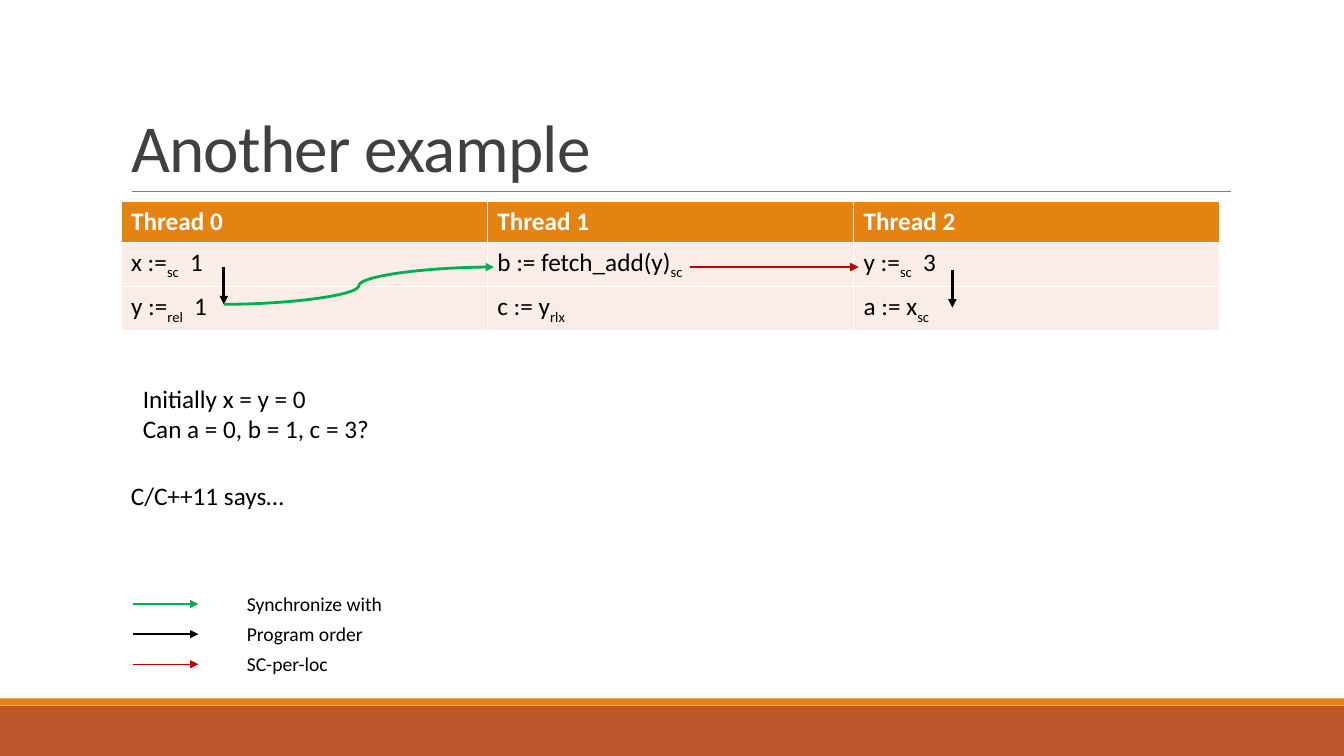
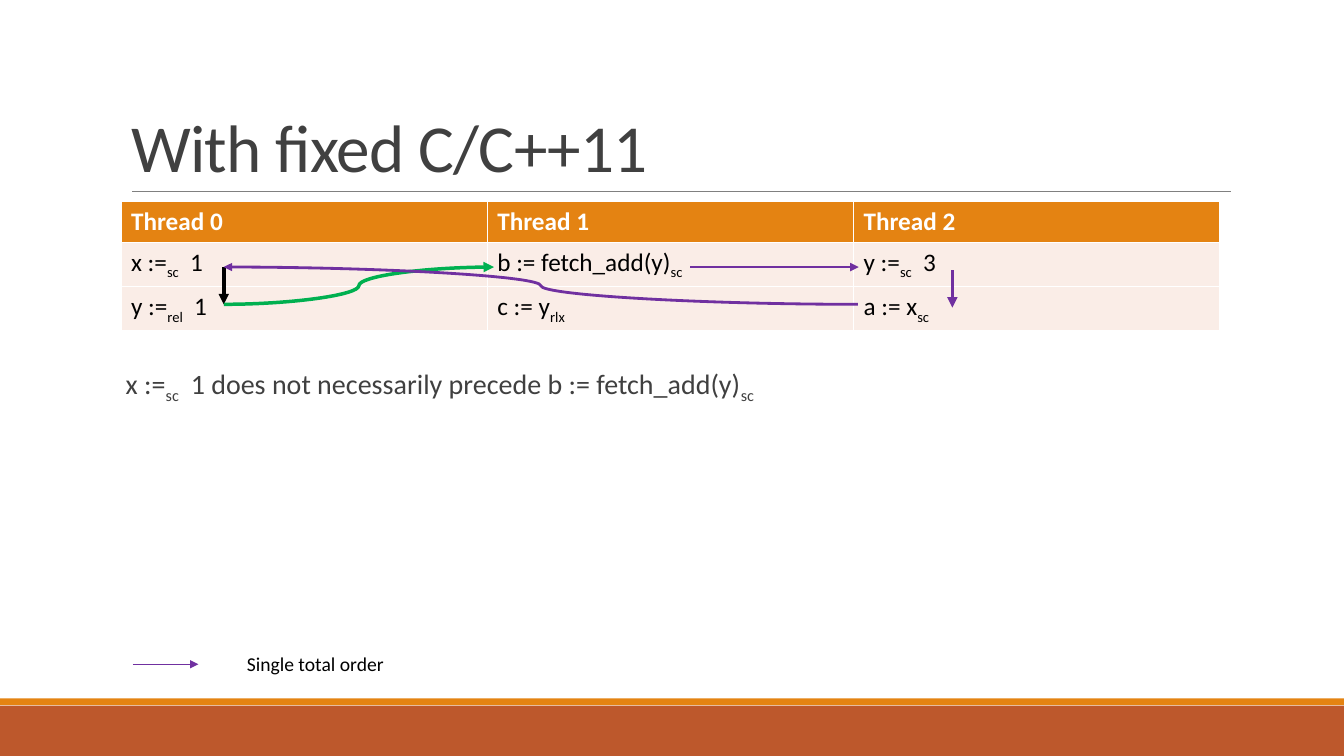
from dataclasses import dataclass

from lxml.etree import SubElement
from pptx import Presentation
from pptx.dml.color import RGBColor
from pptx.enum.shapes import MSO_CONNECTOR, MSO_SHAPE
from pptx.enum.text import MSO_ANCHOR, MSO_AUTO_SIZE, PP_ALIGN
from pptx.oxml.ns import qn
from pptx.util import Cm, Pt


@dataclass(frozen=True)
class Theme:
    font: str = "Calibri"
    band: str = "BD582C"
    accent: str = "E48312"
    rule: str = "808080"
    title: str = "404040"
    cell: str = "FAEDE7"
    white: str = "FFFFFF"
    black: str = "000000"
    green: str = "00B050"
    red: str = "C00000"
    purple: str = "7030A0"
    head: int = 48
    lead: int = 20
    text: int = 18
    small: int = 14


T = Theme()

ROWS = [
    ["Thread 0", "Thread 1", "Thread 2"],
    ["x :=|sc| |1", "b := fetch_add(y)|sc", "y :=|sc| |3"],
    ["y :=|rel| |1", "c := y|rlx", "a := x|sc"],
]

STEP0 = (5.64, 6.73, 5.64, 7.67)
STEP2 = (24, 6.81, 24, 7.75)
SYNC = (5.64, 7.67, 12.45, 6.73)
NEXT = (17.4, 6.73, 21.64, 6.73)
BACK = (21.62, 7.67, 5.64, 6.73)

SLIDES = [
    {
        "title": "Another example",
        "notes": [
            (3.05, 11.99, 19.74, ["C/C++11 says…"]),
            (3.35, 9.53, 27.38,
             ["Initially x = y = 0", "Can a = 0, b = 1, c = 3?"]),
        ],
        "arrows": [
            (STEP2, T.black, 2),
            (STEP0, T.black, 2),
            (SYNC, T.green, 2),
            (NEXT, T.red, 2),
        ],
        "legend": [
            ("Synchronize with", T.green),
            ("Program order", T.black),
            ("SC-per-loc", T.red),
        ],
    },
    {
        "title": "With fixed C/C++11",
        "claim": "x :=|sc| |1 does not necessarily precede b := fetch_add(y)|sc",
        "arrows": [
            (STEP2, T.purple, 2.5),
            (STEP0, T.black, 2.5),
            (SYNC, T.green, 2.5),
            (NEXT, T.purple, 2),
            (BACK, T.purple, 2),
        ],
        "legend": [("Single total order", T.purple)],
    },
]


def rgb(code):
    return RGBColor.from_string(code)


def style(run, size, color, bold=False):
    font = run.font
    font.name, font.size, font.bold = T.font, Pt(size), bold
    font.color.rgb = rgb(color)


def write(para, text, size, color, bold=False):
    last = None
    for part in text.split("|"):
        run = para.add_run()
        run.text = part
        style(run, size, color, bold)
        props = run.font._element
        if part in ("sc", "rel", "rlx"):
            props.set("baseline", "-25000")
        elif part == " ":
            props.set("spc", "390")


def box(slide, place, lines, size, color):
    shape = slide.shapes.add_textbox(*map(Cm, place))
    frame = shape.text_frame
    frame.word_wrap = True
    for i, line in enumerate(lines):
        para = frame.add_paragraph() if i else frame.paragraphs[0]
        write(para, line, size, color)
    return frame


def line(slide, ends, color, width, arrow=True):
    x1, y1, x2, y2 = ends
    flat = x1 == x2 or y1 == y2
    kind = MSO_CONNECTOR.STRAIGHT if flat else MSO_CONNECTOR.CURVE
    link = slide.shapes.add_connector(kind, *map(Cm, ends))
    link.line.color.rgb = rgb(color)
    link.line.width = Pt(width)
    props = link.element.spPr
    if arrow:
        SubElement(props.find(qn("a:ln")), qn("a:tailEnd"), type="triangle")
    SubElement(props, qn("a:effectLst"))
    return link


def band(slide, top, height, color):
    shape = slide.shapes.add_shape(
        MSO_SHAPE.RECTANGLE, 0, Cm(top), Cm(33.87), Cm(height))
    shape.shadow.inherit = False
    shape.fill.solid()
    shape.fill.fore_color.rgb = rgb(color)
    shape.line.fill.background()
    return shape


def share(slide, layout):
    parts = [
        band(slide, 17.78, 1.27, T.band),
        band(slide, 17.6, 0.17, T.accent),
        line(slide, (3.33, 4.83, 31.01, 4.83), T.rule, 0.5, False),
    ]
    for i, part in enumerate(parts, 100):
        part.element.xpath(".//p:cNvPr")[0].set("id", str(i))
        layout.shapes.element.append(part.element)


def head(slide, text):
    shape = slide.shapes.title
    shape.left, shape.top = Cm(3.05), Cm(0.79)
    shape.width, shape.height = Cm(27.94), Cm(4.04)
    frame = shape.text_frame
    frame.text = text
    frame.auto_size = MSO_AUTO_SIZE.NONE
    frame.vertical_anchor = MSO_ANCHOR.BOTTOM
    para = frame.paragraphs[0]
    para.alignment, para.line_spacing = PP_ALIGN.LEFT, 0.85
    run = para.runs[0]
    style(run, T.head, T.title)
    run.font._element.set("spc", "-50")


def grid(slide):
    table = slide.shapes.add_table(
        len(ROWS), len(ROWS[0]), Cm(3.05), Cm(5.08), Cm(27.69), Cm(3.09)).table
    for r, row in enumerate(ROWS):
        for c, text in enumerate(row):
            cell = table.cell(r, c)
            cell.fill.solid()
            cell.fill.fore_color.rgb = rgb(T.cell if r else T.accent)
            write(cell.text_frame.paragraphs[0], text, T.text,
                  T.black if r else T.white, not r)


def legend(slide, items):
    for i, (text, color) in enumerate(reversed(items)):
        y = 16.74 - 0.76 * i
        line(slide, (3.35, y, 5, y), color, 1)
        box(slide, (5.97, y - 0.43, 4.5, 0.86), [text], T.small, T.black)


def claim(slide, text):
    frame = box(slide, (2.92, 9.12, 27.94, 7.19), [text], T.lead, T.title)
    frame.margin_left, frame.margin_right = Cm(0.25), 0
    frame.paragraphs[0].line_spacing = 0.9


def main():
    deck = Presentation()
    deck.slide_width, deck.slide_height = Cm(33.87), Cm(19.05)
    layout = deck.slide_layouts[5]
    for i, data in enumerate(SLIDES):
        slide = deck.slides.add_slide(layout)
        if not i:
            share(slide, layout)
        head(slide, data["title"])
        grid(slide)
        for x, y, width, lines in data.get("notes", []):
            box(slide, (x, y, width, 1.02 * len(lines)), lines, T.text, T.black)
        if "claim" in data:
            claim(slide, data["claim"])
        for arrow in data["arrows"]:
            line(slide, *arrow)
        legend(slide, data["legend"])
    deck.save("out.pptx")


if __name__ == "__main__":
    main()
